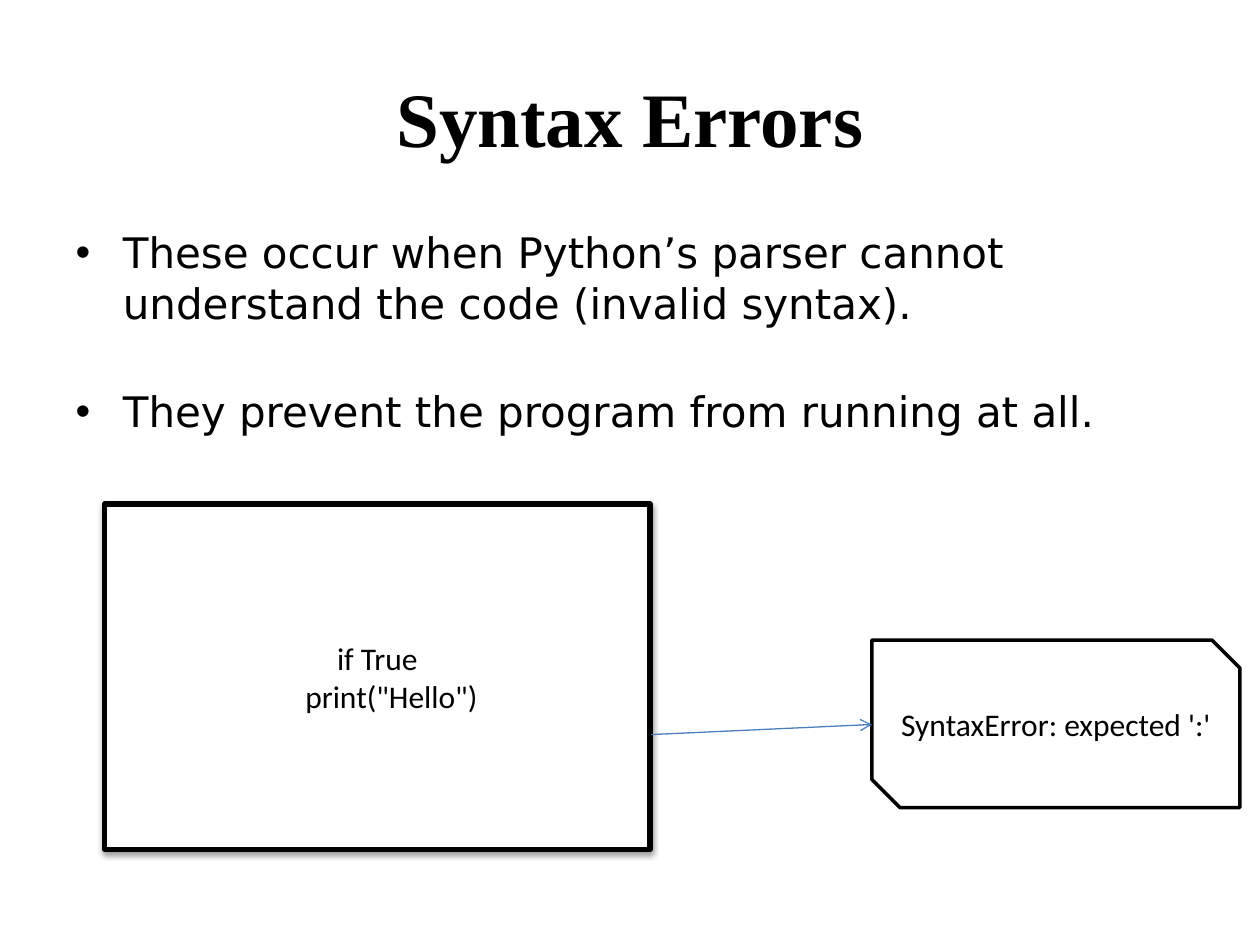
from lxml import etree
from pptx import Presentation
from pptx.dml.color import RGBColor
from pptx.enum.shapes import MSO_CONNECTOR, MSO_SHAPE
from pptx.enum.text import MSO_ANCHOR, PP_ALIGN
from pptx.oxml import parse_xml
from pptx.oxml.ns import nsdecls, qn
from pptx.util import Inches, Pt

BLACK = RGBColor(0, 0, 0)
WHITE = RGBColor(255, 255, 255)
ARROW_BLUE = RGBColor(0x4B, 0x7E, 0xBC)
RECTANGLE = MSO_SHAPE.RECTANGLE
SNIPPED = MSO_SHAPE.SNIP_2_DIAG_RECTANGLE
STRAIGHT = MSO_CONNECTOR.STRAIGHT
CENTER = PP_ALIGN.CENTER
MIDDLE = MSO_ANCHOR.MIDDLE

TITLE = "Syntax Errors"
POINTS = [
    "These occur when Python’s parser cannot understand the code (invalid syntax).",
    "They prevent the program from running at all.",
]
POINT_GAP = 33
CODE = ["if True", '    print("Hello")']
ERROR = ["SyntaxError: expected ':'"]

# left, top, width, height
TITLE_AREA = (0.5, 0.3, 9, 1.25)
POINTS_AREA = (0.5, 1.75, 9, 4.95)
CODE_AREA = (0.83, 4, 4.33, 2.74)
ERROR_AREA = (6.92, 5.08, 2.92, 1.33)
ARROW = (5.17, 5.83, 6.92, 5.75)

SHADOW = f"""<a:effectLst {nsdecls('a')}>
  <a:outerShdw blurRad="40000" dist="20000" dir="5400000" rotWithShape="0">
    <a:srgbClr val="000000"><a:alpha val="38000"/></a:srgbClr>
  </a:outerShdw>
</a:effectLst>"""


def place(shape, area):
    shape.left, shape.top, shape.width, shape.height = map(Inches, area)


def write(paragraph, text, font, size, bold=False):
    span = paragraph.add_run()
    span.text = text
    span.font.name = font
    span.font.size = Pt(size)
    span.font.bold = bold
    span.font.color.rgb = BLACK


def add_box(page, kind, area, lines, border):
    box = page.shapes.add_shape(kind, *map(Inches, area))
    box.shadow.inherit = False
    box.fill.solid()
    box.fill.fore_color.rgb = WHITE
    box.line.color.rgb = BLACK
    box.line.width = Pt(border)
    frame = box.text_frame
    frame.word_wrap = True
    frame.vertical_anchor = MIDDLE
    for number, line in enumerate(lines):
        paragraph = frame.add_paragraph() if number else frame.paragraphs[0]
        paragraph.alignment = CENTER
        write(paragraph, line, "Calibri", 18)
    return box


def add_arrow(page, ends):
    arrow = page.shapes.add_connector(STRAIGHT, *map(Inches, ends))
    arrow.line.color.rgb = ARROW_BLUE
    arrow.line.width = Pt(0.75)
    etree.SubElement(arrow.line._get_or_add_ln(), qn("a:tailEnd"), type="arrow")
    etree.SubElement(arrow._element.spPr, qn("a:effectLst"))


def main():
    deck = Presentation()
    deck.slide_width, deck.slide_height = Inches(10), Inches(7.5)
    page = deck.slides.add_slide(deck.slide_layouts[1])

    title = page.shapes.title
    place(title, TITLE_AREA)
    title.text_frame.vertical_anchor = MIDDLE
    heading = title.text_frame.paragraphs[0]
    heading.alignment = CENTER
    write(heading, TITLE, "Times New Roman", 44, bold=True)

    body = page.placeholders[1]
    place(body, POINTS_AREA)
    frame = body.text_frame
    for number, point in enumerate(POINTS):
        paragraph = frame.add_paragraph() if number else frame.paragraphs[0]
        paragraph.space_before = Pt(POINT_GAP if number else 0)
        write(paragraph, point, "DejaVu Sans", 24)

    code_box = add_box(page, RECTANGLE, CODE_AREA, CODE, border=3)
    properties = code_box._element.spPr
    properties.replace(properties.find(qn("a:effectLst")), parse_xml(SHADOW))
    add_box(page, SNIPPED, ERROR_AREA, ERROR, border=2)
    add_arrow(page, ARROW)

    deck.save("out.pptx")


if __name__ == "__main__":
    main()
